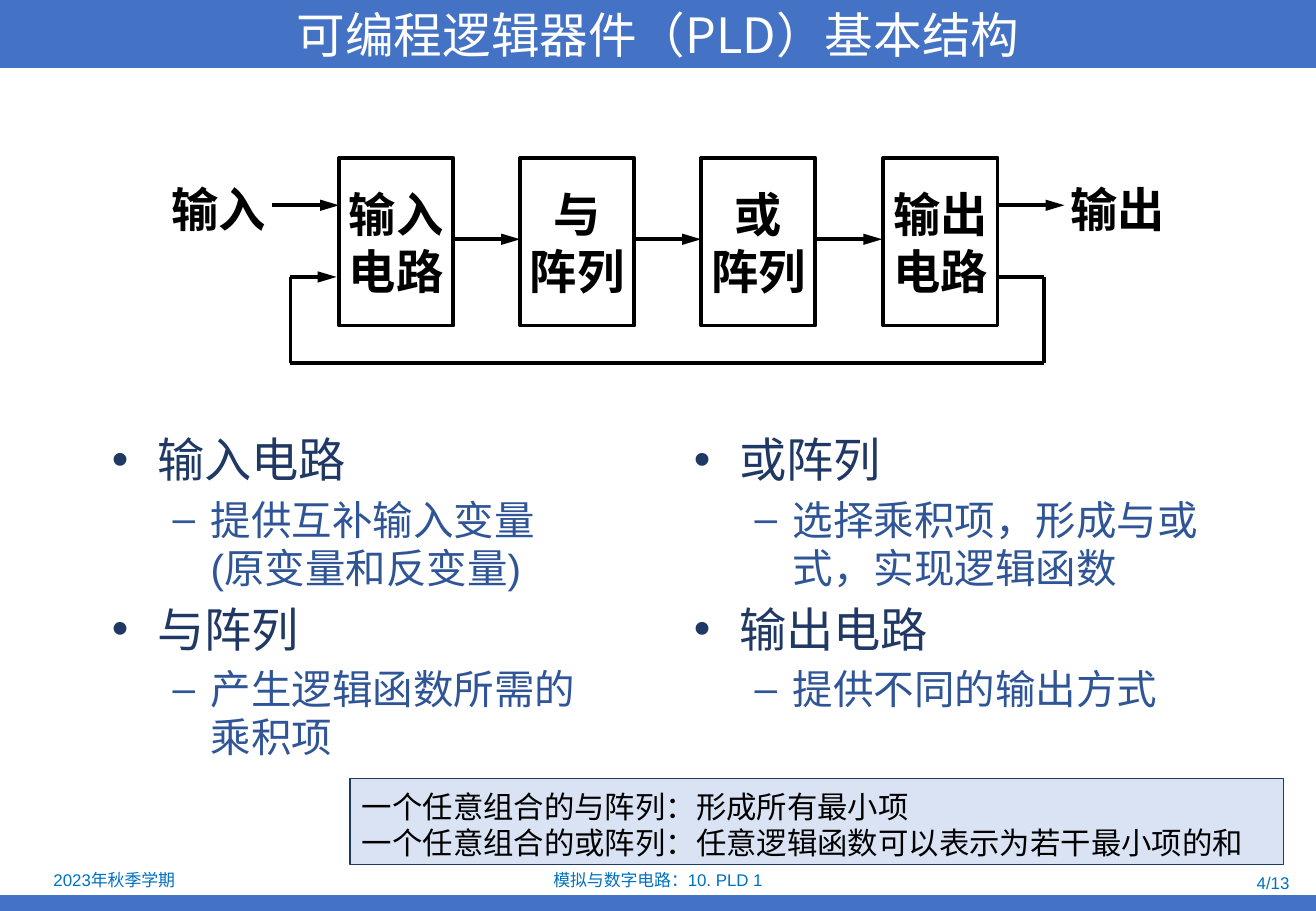
from itertools import pairwise

from lxml import etree
from pptx import Presentation
from pptx.dml.color import RGBColor
from pptx.enum.shapes import MSO_CONNECTOR, MSO_SHAPE
from pptx.enum.text import MSO_ANCHOR, MSO_AUTO_SIZE, PP_ALIGN
from pptx.oxml.ns import qn
from pptx.util import Pt

LEFT, CENTER, RIGHT = PP_ALIGN.LEFT, PP_ALIGN.CENTER, PP_ALIGN.RIGHT
TOP, MIDDLE = MSO_ANCHOR.TOP, MSO_ANCHOR.MIDDLE
RECT, STRAIGHT = MSO_SHAPE.RECTANGLE, MSO_CONNECTOR.STRAIGHT
BLACK = RGBColor(0, 0, 0)
WHITE = RGBColor(0xFF, 0xFF, 0xFF)
BLUE = RGBColor(0x44, 0x72, 0xC4)
FOOTER_BLUE = RGBColor(0x00, 0x70, 0xC0)
NAVY = RGBColor(0x20, 0x38, 0x64)
MID_BLUE = RGBColor(0x2F, 0x55, 0x97)
PALE_BLUE = RGBColor(0xDA, 0xE3, 0xF3)
LATIN, CJK = "Arial", "Noto Sans CJK SC"

PX = 9144  # 100 px to the inch
WIDTH, HEIGHT = 1083, 750

TITLE = "可编程逻辑器件（PLD）基本结构"
BLOCKS = [["输入", "电路"], ["与", "阵列"], ["或", "阵列"], ["输出", "电路"]]
PORTS = [("输入", 141), ("输出", 881)]
COLUMNS = [
    ((82, 350, 405, 297), [
        ("输入电路", ["提供互补输入变量(原变量和反变量)"]),
        ("与阵列", ["产生逻辑函数所需的乘积项"]),
    ]),
    ((561, 350, 467, 297), [
        ("或阵列", ["选择乘积项，形成与或式，实现逻辑函数"]),
        ("输出电路", ["提供不同的输出方式"]),
    ]),
]
NOTE = ["一个任意组合的与阵列：形成所有最小项",
        "一个任意组合的或阵列：任意逻辑函数可以表示为若干最小项的和"]
FOOTERS = [
    ("2023年秋季学期", (2, 713, 184, 23), CENTER),
    ("模拟与数字电路：10. PLD 1", (370, 714, 343, 21), CENTER),
    ("4/13", (818, 716, 253, 21), RIGHT),
]

BLOCK_X, BLOCK_Y, BLOCK_W, BLOCK_H = 279, 130, 94, 138
ARROW = 55
PORT_Y, FLOW_Y, BACK_Y, LOOP_Y = 169, 197, 228, 299
LOOP_GAP = 38


def emu(box):
    return [v * PX for v in box]


def place(sp, box):
    sp.left, sp.top, sp.width, sp.height = emu(box)


def frame(sp, anchor=TOP, margins=(10, 5, 10, 5), wrap=True):
    tf = sp.text_frame
    tf.auto_size = MSO_AUTO_SIZE.NONE
    tf.word_wrap = wrap
    tf.vertical_anchor = anchor
    tf.margin_left, tf.margin_top, tf.margin_right, tf.margin_bottom = emu(margins)
    return tf


def write(tf, text, size, color, font=LATIN, bold=False, align=LEFT,
          level=0, line=None, before=0):
    """Add one paragraph, using the empty first one if there is one."""
    first = not tf.text
    p = tf.paragraphs[0] if first else tf.add_paragraph()
    p.alignment, p.level = align, level
    p.space_before = Pt(0 if first else before)
    if line:
        p.line_spacing = Pt(line)
    r = p.add_run()
    r.text = text
    r.font.size, r.font.bold, r.font.name = Pt(size), bold, font
    r.font.color.rgb = color
    etree.SubElement(r._r.get_or_add_rPr(), qn("a:ea"), typeface=CJK)


def add_rect(s, box, fill, border=None, weight=0):
    sp = s.shapes.add_shape(RECT, *emu(box))
    sp.shadow.inherit = False
    sp.fill.solid()
    sp.fill.fore_color.rgb = fill
    if border is None:
        sp.line.fill.background()
    else:
        sp.line.color.rgb = border
        sp.line.width = Pt(weight)
    return sp


def add_wire(s, start, end, arrow=True):
    c = s.shapes.add_connector(STRAIGHT, *emu(start + end))
    c.line.color.rgb = BLACK
    c.line.width = Pt(2.25)
    if arrow:
        etree.SubElement(c.line._get_or_add_ln(), qn("a:tailEnd"),
                         type="triangle", w="med", len="lg")
    etree.SubElement(c._element.spPr, qn("a:effectLst"))


def add_diagram(s):
    label = dict(size=28, color=BLACK, bold=True, align=CENTER, line=33.8)
    lefts = [BLOCK_X + i * 448 // 3 for i in range(len(BLOCKS))]
    for x, lines in zip(lefts, BLOCKS):
        sp = add_rect(s, (x, BLOCK_Y, BLOCK_W, BLOCK_H), WHITE, BLACK, 2.25)
        tf = frame(sp, MIDDLE, (0, 0, 0, 0), wrap=False)
        for text in lines:
            write(tf, text, **label)
    for text, x in PORTS:
        sp = s.shapes.add_textbox(*emu((x, 148, 78, 47)))
        write(frame(sp, MIDDLE, (0, 0, 0, 0), wrap=False), text, **label)

    first, last = lefts[0], lefts[-1] + BLOCK_W
    for x in lefts[:-1]:
        add_wire(s, (x + BLOCK_W, FLOW_Y), (x + BLOCK_W + ARROW, FLOW_Y))
    for x in (first - ARROW, last):
        add_wire(s, (x, PORT_Y), (x + ARROW, PORT_Y))
    right, left = last + LOOP_GAP, first - LOOP_GAP - 2
    loop = [(last, BACK_Y), (right, BACK_Y), (right, LOOP_Y),
            (left, LOOP_Y), (left, BACK_Y), (first - 2, BACK_Y)]
    for start, end in pairwise(loop):
        add_wire(s, start, end, arrow=end == loop[-1])


def main():
    prs = Presentation()
    prs.slide_width, prs.slide_height = WIDTH * PX, HEIGHT * PX
    s = prs.slides.add_slide(prs.slide_layouts[3])

    title, *bodies = s.placeholders
    place(title, (0, 0, WIDTH, 56))
    title.fill.solid()
    title.fill.fore_color.rgb = BLUE
    write(frame(title, MIDDLE), TITLE, 28.8, WHITE, font=CJK, align=CENTER)

    for body, (box, items) in zip(bodies, COLUMNS):
        place(body, box)
        tf = frame(body)
        for head, details in items:
            write(tf, head, 28, NAVY, line=33.2, before=5.6)
            for text in details:
                write(tf, text, 24, MID_BLUE, level=1, line=28.4, before=4.8)

    add_diagram(s)

    note = add_rect(s, (288, 641, 768, 71), PALE_BLUE, NAVY, 0.75)
    tf = frame(note, margins=(10, 8, 10, 5))
    for text in NOTE:
        write(tf, text, 18, BLACK, line=21.3)

    add_rect(s, (0, 737, WIDTH, 13), BLUE)
    for text, box, align in FOOTERS:
        sp = s.shapes.add_textbox(*emu(box))
        write(frame(sp, MIDDLE, (10, 0, 10, 0)), text, 10, FOOTER_BLUE, align=align)

    prs.save("out.pptx")


if __name__ == "__main__":
    main()
